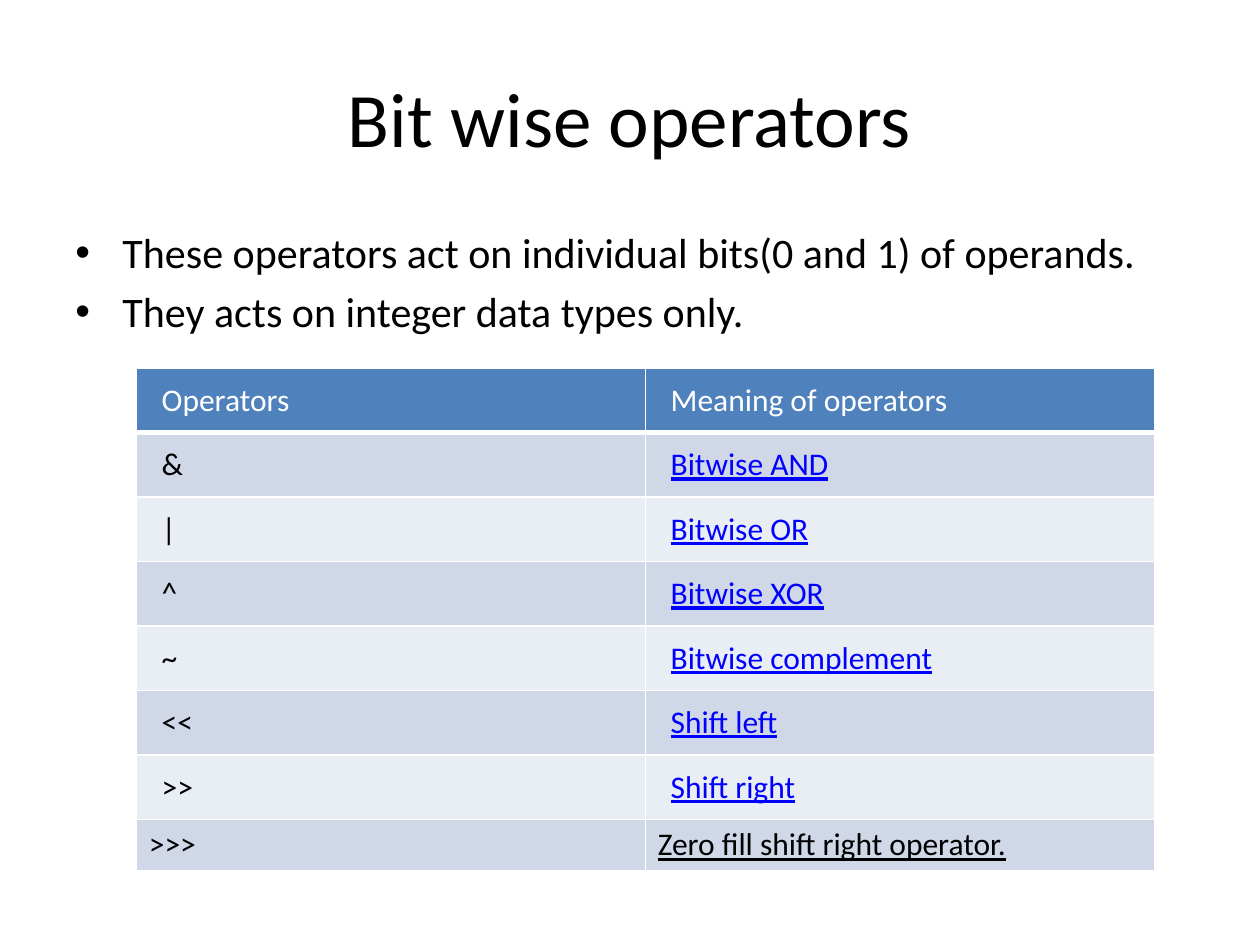
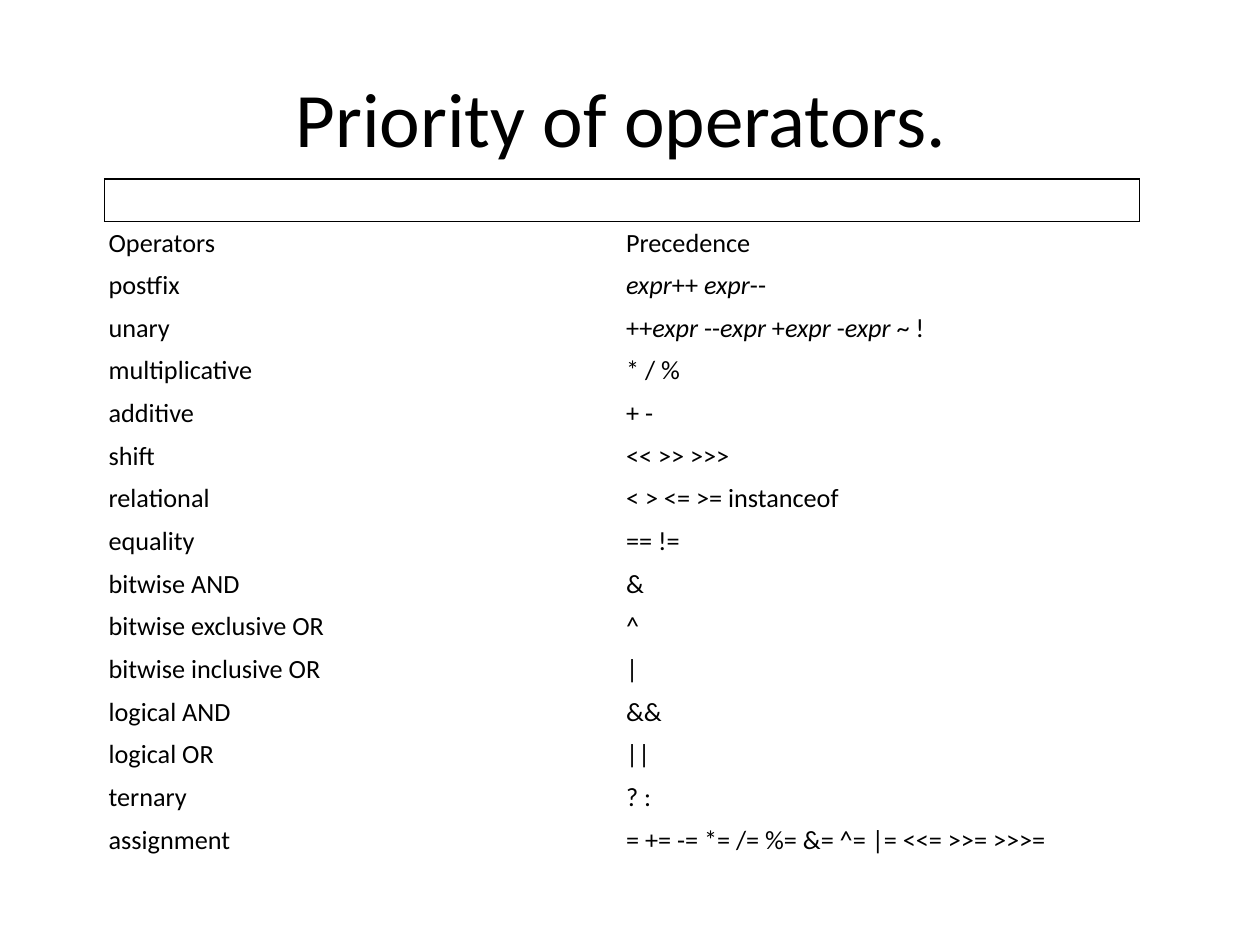
from lxml import etree
from pptx import Presentation
from pptx.dml.color import RGBColor
from pptx.enum.text import MSO_ANCHOR, PP_ALIGN
from pptx.oxml.ns import qn
from pptx.util import Cm, Pt

MIDDLE, TOP = MSO_ANCHOR.MIDDLE, MSO_ANCHOR.TOP
CENTER = PP_ALIGN.CENTER
FONT = "Calibri"
BLACK, WHITE, LINK_BLUE = "000000", "FFFFFF", "0000FF"
HEADER_BLUE, BAND_DARK, BAND_LIGHT = "4F81BD", "D0D8E8", "E9EDF4"
PLAIN_TABLE = "{2D5ABB26-0587-4C30-8999-92F81FD0307C}"
ITALIC_WORD = "expr"

BITWISE_ROWS = [
    ("Operators", "Meaning of operators"),
    ("&", "Bitwise AND"),
    ("|", "Bitwise OR"),
    ("^", "Bitwise XOR"),
    ("~", "Bitwise complement"),
    ("<<", "Shift left"),
    (">>", "Shift right"),
    (">>>", "Zero fill shift right operator."),
]
PRIORITY_ROWS = [
    ("", ""),
    ("Operators", "Precedence"),
    ("postfix", "expr++ expr--"),
    ("unary", "++expr --expr +expr -expr ~ !"),
    ("multiplicative", "* / %"),
    ("additive", "+ -"),
    ("shift", "<< >> >>>"),
    ("relational", "< > <= >= instanceof"),
    ("equality", "== !="),
    ("bitwise AND", "&"),
    ("bitwise exclusive OR", "^"),
    ("bitwise inclusive OR", "|"),
    ("logical AND", "&&"),
    ("logical OR", "||"),
    ("ternary", "? :"),
    ("assignment", "= += -= *= /= %= &= ^= |= <<= >>= >>>="),
]


def color(value):
    return RGBColor.from_string(value)


class DeckBuilder:
    def __init__(self):
        self.deck = Presentation()
        self.deck.slide_width, self.deck.slide_height = Cm(25.4), Cm(19.05)
        self.page = None

    def add_page(self, title):
        self.page = self.deck.slides.add_slide(self.deck.slide_layouts[6])
        frame = self.add_text(1.27, 0.76, 22.86, 3.18, [title], 44)
        frame.vertical_anchor = MIDDLE
        frame.paragraphs[0].alignment = CENTER

    def style(self, span, size, ink=BLACK, underline=False, italic=False):
        span.font.name = FONT
        span.font.size = Pt(size)
        span.font.color.rgb = color(ink)
        span.font.underline = underline
        span.font.italic = italic

    def add_text(self, left, top, width, height, lines, size):
        box = self.page.shapes.add_textbox(Cm(left), Cm(top), Cm(width), Cm(height))
        frame = box.text_frame
        frame.word_wrap = True
        frame.text = "\n".join(lines)
        for para in frame.paragraphs:
            for span in para.runs:
                self.style(span, size)
        return frame

    def add_bullets(self, left, top, width, height, lines, size):
        frame = self.add_text(left, top, width, height, lines, size)
        for para in frame.paragraphs:
            para.space_before = Pt(size * 0.2)
            properties = para._p.get_or_add_pPr()
            properties.set("marL", str(Cm(0.95)))
            properties.set("indent", str(-Cm(0.95)))
            etree.SubElement(properties, qn("a:buFont")).set("typeface", "Arial")
            etree.SubElement(properties, qn("a:buChar")).set("char", "•")

    def add_table(self, left, top, column_width, row_heights):
        holder = self.page.shapes.add_table(
            len(row_heights), 2, Cm(left), Cm(top),
            Cm(2 * column_width), Cm(sum(row_heights)))
        table = holder.table
        table.first_row = table.horz_banding = False
        table._tbl.tblPr.find(qn("a:tableStyleId")).text = PLAIN_TABLE
        for column in table.columns:
            column.width = Cm(column_width)
        for row, height in zip(table.rows, row_heights):
            row.height = Cm(height)
        return table

    def fill_cell(self, cell, text, size, margins, anchor, fill=None, **look):
        cell.margin_left = cell.margin_right = Cm(margins[0])
        cell.margin_top = cell.margin_bottom = Cm(margins[1])
        cell.vertical_anchor = anchor
        if fill:
            cell.fill.solid()
            cell.fill.fore_color.rgb = color(fill)
        else:
            cell.fill.background()
        para = cell.text_frame.paragraphs[0]
        if not text:
            para._p.get_or_add_endParaRPr().set("sz", str(size * 100))
        for position, piece in enumerate(text.split(ITALIC_WORD)):
            if position:
                self.add_span(para, ITALIC_WORD, size, italic=True, **look)
            if piece:
                self.add_span(para, piece, size, **look)

    def add_span(self, para, text, size, **look):
        span = para.add_run()
        span.text = text
        self.style(span, size, **look)

    def add_borders(self, cell, ink, widths):
        properties = cell._tc.get_or_add_tcPr()
        sides = [side for side in "LRTB" if side in widths]
        for position, side in enumerate(sides):
            line = etree.Element(qn("a:ln" + side), w=str(Pt(widths[side])))
            fill = etree.SubElement(line, qn("a:solidFill"))
            etree.SubElement(fill, qn("a:srgbClr")).set("val", ink)
            properties.insert(position, line)


def build_bitwise_page(builder):
    builder.add_page("Bit wise operators")
    builder.add_bullets(1.27, 4.45, 22.86, 12.57, [
        "These operators act on individual bits(0 and 1) of operands.",
        "They acts on integer data types only.",
    ], 24)
    last = len(BITWISE_ROWS) - 1
    table = builder.add_table(2.75, 7.42, 10.26, [1.3] * last + [1.03])
    for row, texts in enumerate(BITWISE_ROWS):
        margins, anchor = ((0.25, 0.13), TOP) if row == last else ((0.51, 0.25), MIDDLE)
        fill = BAND_DARK if row % 2 else BAND_LIGHT
        inks = (BLACK, BLACK if row == last else LINK_BLUE)
        if row == 0:
            fill, inks = HEADER_BLUE, (WHITE, WHITE)
        for column, text in enumerate(texts):
            cell = table.cell(row, column)
            builder.fill_cell(cell, text, 18, margins, anchor, fill,
                              ink=inks[column], underline=row > 0 and column == 1)
            builder.add_borders(cell, WHITE, {
                "L": 1, "R": 1, "T": 3 if row == 1 else 1, "B": 1 if row else 3})


def build_priority_page(builder):
    builder.add_page("Priority of operators. ")
    table = builder.add_table(2.11, 3.61, 10.43, [0.86] * len(PRIORITY_ROWS))
    for row, texts in enumerate(PRIORITY_ROWS):
        for column, text in enumerate(texts):
            builder.fill_cell(table.cell(row, column), text, 15, (0.08, 0.08), MIDDLE)
    banner = table.cell(0, 0)
    banner.merge(table.cell(0, 1))
    builder.add_borders(banner, BLACK, {"L": 1, "R": 1, "T": 1, "B": 1})
    builder.add_borders(table.cell(0, 1), BLACK, {"R": 1, "T": 1})


def main():
    builder = DeckBuilder()
    build_bitwise_page(builder)
    build_priority_page(builder)
    builder.deck.save("out.pptx")


if __name__ == "__main__":
    main()
